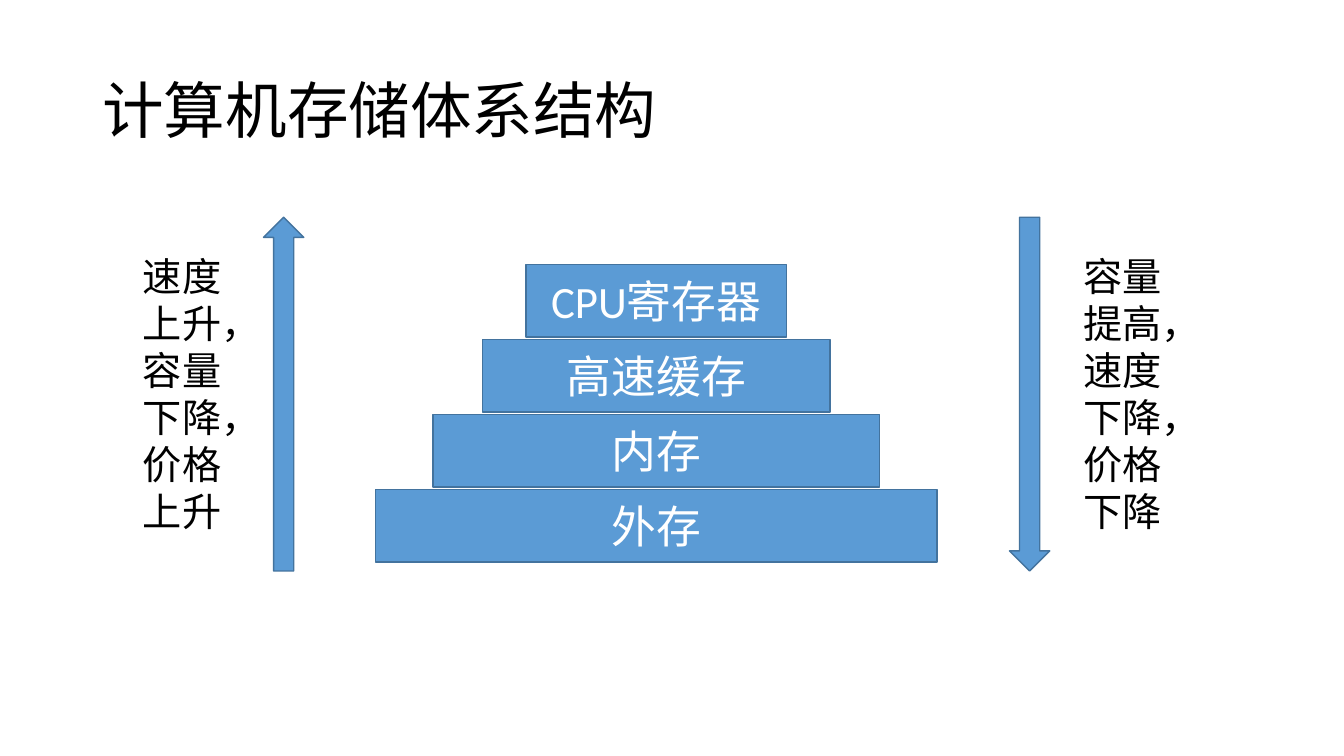
from pptx import Presentation
from pptx.dml.color import RGBColor
from pptx.enum.shapes import MSO_SHAPE as Preset
from pptx.enum.text import MSO_ANCHOR as Anchor, PP_ALIGN as Align
from pptx.util import Pt

BLUE = RGBColor(0x5B, 0x9B, 0xD5)
EDGE = RGBColor(0x43, 0x73, 0x9E)
BLACK = RGBColor(0, 0, 0)
WHITE = RGBColor(255, 255, 255)

presentation = Presentation()
presentation.slide_width, presentation.slide_height = Pt(960), Pt(540)
slide = presentation.slides.add_slide(presentation.slide_layouts[6])


def write(shape, text, size, color=BLACK, anchor=Anchor.TOP, align=Align.LEFT, spacing=1.0):
    frame = shape.text_frame
    frame.word_wrap = True
    frame.vertical_anchor = anchor
    paragraph = frame.paragraphs[0]
    paragraph.text = text
    paragraph.alignment = align
    paragraph.line_spacing = spacing
    paragraph.font.name = "Calibri"
    paragraph.font.size = Pt(size)
    paragraph.font.color.rgb = color


def add_blue_shape(preset, left, top, width, height):
    shape = slide.shapes.add_shape(preset, Pt(left), Pt(top), Pt(width), Pt(height))
    shape.shadow.inherit = False
    shape.fill.solid()
    shape.fill.fore_color.rgb = BLUE
    shape.line.color.rgb = EDGE
    shape.line.width = Pt(1)
    return shape


# Title
title = slide.shapes.add_textbox(Pt(66), Pt(28.8), Pt(828), Pt(104.4))
write(title, "计算机存储体系结构", 44, anchor=Anchor.MIDDLE, spacing=0.9)

# Memory pyramid, fastest level on top
CENTER, PYRAMID_TOP, STEP, LEVEL_HEIGHT = 468.8, 188.8, 53.6, 52
levels = [("CPU寄存器", 186), ("高速缓存", 248.4), ("内存", 319), ("外存", 401)]
for row, (name, width) in enumerate(levels):
    level = add_blue_shape(Preset.RECTANGLE, CENTER - width / 2, PYRAMID_TOP + row * STEP,
                           width, LEVEL_HEIGHT)
    write(level, name, 32, color=WHITE, anchor=Anchor.MIDDLE, align=Align.CENTER)

# Trend arrows with their notes on the outer sides
trends = [
    (76.3, 270, 95, "速度上升，容量下降，价格上升"),
    (609.1, 90, 766.8, "容量提高，速度下降，价格下降"),
]
for arrow_left, rotation, note_left, text in trends:
    arrow = add_blue_shape(Preset.RIGHT_ARROW, arrow_left, 267.1, 252.7, 28.8)
    arrow.rotation = rotation
    note = slide.shapes.add_textbox(Pt(note_left), Pt(176.4), Pt(75.6), Pt(211))
    write(note, text, 28)

presentation.save("out.pptx")
